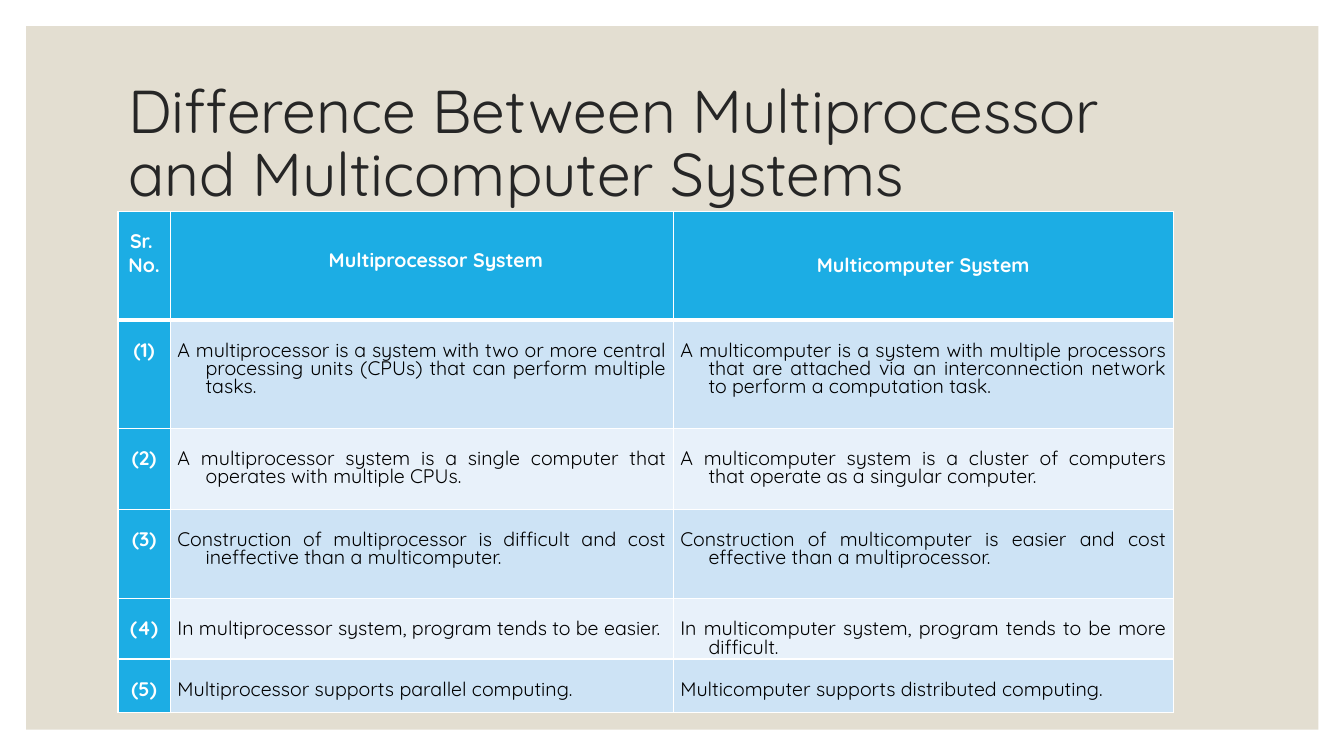
from dataclasses import dataclass

import lxml.etree
import pptx
import pptx.dml.color
import pptx.enum.shapes
import pptx.enum.text
import pptx.oxml.ns
import pptx.table
import pptx.text.text
import pptx.util

Pt = pptx.util.Pt
Align = pptx.enum.text.PP_ALIGN


@dataclass(frozen=True)
class Theme:
    font: str = "Quicksand"
    title_size: float = 43.2
    table_size: float = 14
    panel: str = "E3DED1"
    title: str = "262626"
    accent: str = "1CADE4"
    on_accent: str = "FFFFFF"
    text: str = "000000"
    border: str = "FFFFFF"
    bands: tuple[str, str] = ("CDE3F5", "E8F1FA")


@dataclass(frozen=True)
class Heading:
    lines: tuple[str, ...]
    top_inset: float
    first_indent: float


@dataclass(frozen=True)
class Difference:
    height: float
    multiprocessor: str
    multicomputer: str


THEME = Theme()
HANGING = 20.16
LINE = 13
GAP = 2
TOP_INSET = LINE + 2 * GAP
THIN, THICK = 1, 3
HEADER_HEIGHT = 77.5
COLUMN_WIDTHS = (37.5, 359.25, 357.25)
TABLE_LEFT, TABLE_TOP = 84.25, 151.2

HEADINGS = (
    Heading(("Sr. ", "No."), TOP_INSET, -HANGING),
    Heading(("Multiprocessor System",), TOP_INSET + LINE, 0),
    Heading(("Multicomputer System",), 2 * TOP_INSET, -HANGING),
)

DIFFERENCES = (
    Difference(
        77.5,
        "A multiprocessor is a system with two or more central processing units (CPUs) that can perform multiple tasks.",
        "A multicomputer is a system with multiple processors that are attached via an interconnection network to perform a computation task.",
    ),
    Difference(
        57.5,
        "A multiprocessor system is a single computer that operates with multiple CPUs.",
        "A multicomputer system is a cluster of computers that operate as a singular computer.",
    ),
    Difference(
        64,
        "Construction of multiprocessor is difficult and cost ineffective than a multicomputer.",
        "Construction of multicomputer is easier and cost effective than a multiprocessor.",
    ),
    Difference(
        43,
        "In multiprocessor system, program tends to be easier.",
        "In multicomputer system, program tends to be more difficult.",
    ),
    Difference(
        38,
        "Multiprocessor supports parallel computing.",
        "Multicomputer supports distributed computing.",
    ),
)


def rgb(value: str) -> pptx.dml.color.RGBColor:
    return pptx.dml.color.RGBColor.from_string(value)


def set_font(paragraph: pptx.text.text._Paragraph, size: float, color: str, bold: bool = False) -> None:
    paragraph.font.name = THEME.font
    paragraph.font.size = Pt(size)
    paragraph.font.bold = bold
    paragraph.font.color.rgb = rgb(color)


def set_borders(cell: pptx.table._Cell, top: float, bottom: float) -> None:
    properties = cell._tc.get_or_add_tcPr()
    for side, width in (("L", THIN), ("R", THIN), ("T", top), ("B", bottom)):
        line = lxml.etree.SubElement(properties, pptx.oxml.ns.qn(f"a:ln{side}"), w=str(Pt(width)))
        fill = lxml.etree.SubElement(line, pptx.oxml.ns.qn("a:solidFill"))
        lxml.etree.SubElement(fill, pptx.oxml.ns.qn("a:srgbClr"), val=THEME.border)


def fill_cell(
    cell: pptx.table._Cell,
    lines: tuple[str, ...],
    fill: str,
    color: str,
    bold: bool,
    align: Align,
    top_inset: float = TOP_INSET,
    first_indent: float = -HANGING,
) -> None:
    cell.margin_left = cell.margin_right = Pt(5)
    cell.margin_top, cell.margin_bottom = Pt(top_inset), Pt(0)
    cell.fill.solid()
    cell.fill.fore_color.rgb = rgb(fill)
    cell.text_frame.text = "\n".join(lines)
    for position, paragraph in enumerate(cell.text_frame.paragraphs):
        paragraph.alignment = align
        paragraph.line_spacing = Pt(LINE)
        paragraph.space_before = Pt(GAP if position else 0)
        paragraph.space_after = Pt(GAP)
        properties = paragraph._p.get_or_add_pPr()
        properties.set("marL", str(Pt(HANGING)))
        properties.set("indent", str(Pt(first_indent)))
        set_font(paragraph, THEME.table_size, color, bold)


def add_panel(slide: pptx.slide.Slide) -> None:
    panel = slide.shapes.add_shape(
        pptx.enum.shapes.MSO_SHAPE.RECTANGLE, Pt(18.75), Pt(18.75), Pt(923), Pt(502.5)
    )
    panel.shadow.inherit = False
    panel.fill.solid()
    panel.fill.fore_color.rgb = rgb(THEME.panel)
    panel.line.fill.background()
    slide.shapes._spTree.insert(2, panel._element)


def set_title(slide: pptx.slide.Slide) -> None:
    title = slide.shapes.title
    title.left, title.top, title.width, title.height = Pt(84.25), Pt(50.4), Pt(792), Pt(108)
    frame = title.text_frame
    frame.text = "Difference Between Multiprocessor and Multicomputer Systems"
    frame.word_wrap = True
    frame.auto_size = pptx.enum.text.MSO_AUTO_SIZE.NONE
    frame.vertical_anchor = pptx.enum.text.MSO_ANCHOR.MIDDLE
    heading = frame.paragraphs[0]
    heading.alignment = Align.LEFT
    heading.line_spacing = 0.86
    set_font(heading, THEME.title_size, THEME.title)


def add_comparison(slide: pptx.slide.Slide) -> None:
    heights = (HEADER_HEIGHT, *(difference.height for difference in DIFFERENCES))
    comparison = slide.shapes.add_table(
        len(heights), len(COLUMN_WIDTHS), Pt(TABLE_LEFT), Pt(TABLE_TOP), Pt(sum(COLUMN_WIDTHS)), Pt(sum(heights))
    ).table
    comparison.first_row = comparison.horz_banding = False
    for column, width in zip(comparison.columns, COLUMN_WIDTHS):
        column.width = Pt(width)
    for number, (row, height) in enumerate(zip(comparison.rows, heights)):
        row.height = Pt(height)
        for cell in row.cells:
            set_borders(cell, THICK if number == 1 else THIN, THICK if number == 0 else THIN)

    for column, heading in enumerate(HEADINGS):
        fill_cell(
            comparison.cell(0, column), heading.lines, THEME.accent, THEME.on_accent, True,
            Align.CENTER, heading.top_inset, heading.first_indent,
        )
    for number, difference in enumerate(DIFFERENCES, 1):
        fill_cell(
            comparison.cell(number, 0), (f"({number})",), THEME.accent, THEME.on_accent, True, Align.CENTER
        )
        band = THEME.bands[(number - 1) % 2]
        for column, statement in enumerate((difference.multiprocessor, difference.multicomputer), 1):
            fill_cell(comparison.cell(number, column), (statement,), band, THEME.text, False, Align.JUSTIFY)


def main() -> None:
    presentation = pptx.Presentation()
    presentation.slide_width, presentation.slide_height = Pt(960), Pt(540)
    slide = presentation.slides.add_slide(presentation.slide_layouts[5])
    add_panel(slide)
    set_title(slide)
    add_comparison(slide)
    presentation.save("out.pptx")


if __name__ == "__main__":
    main()
